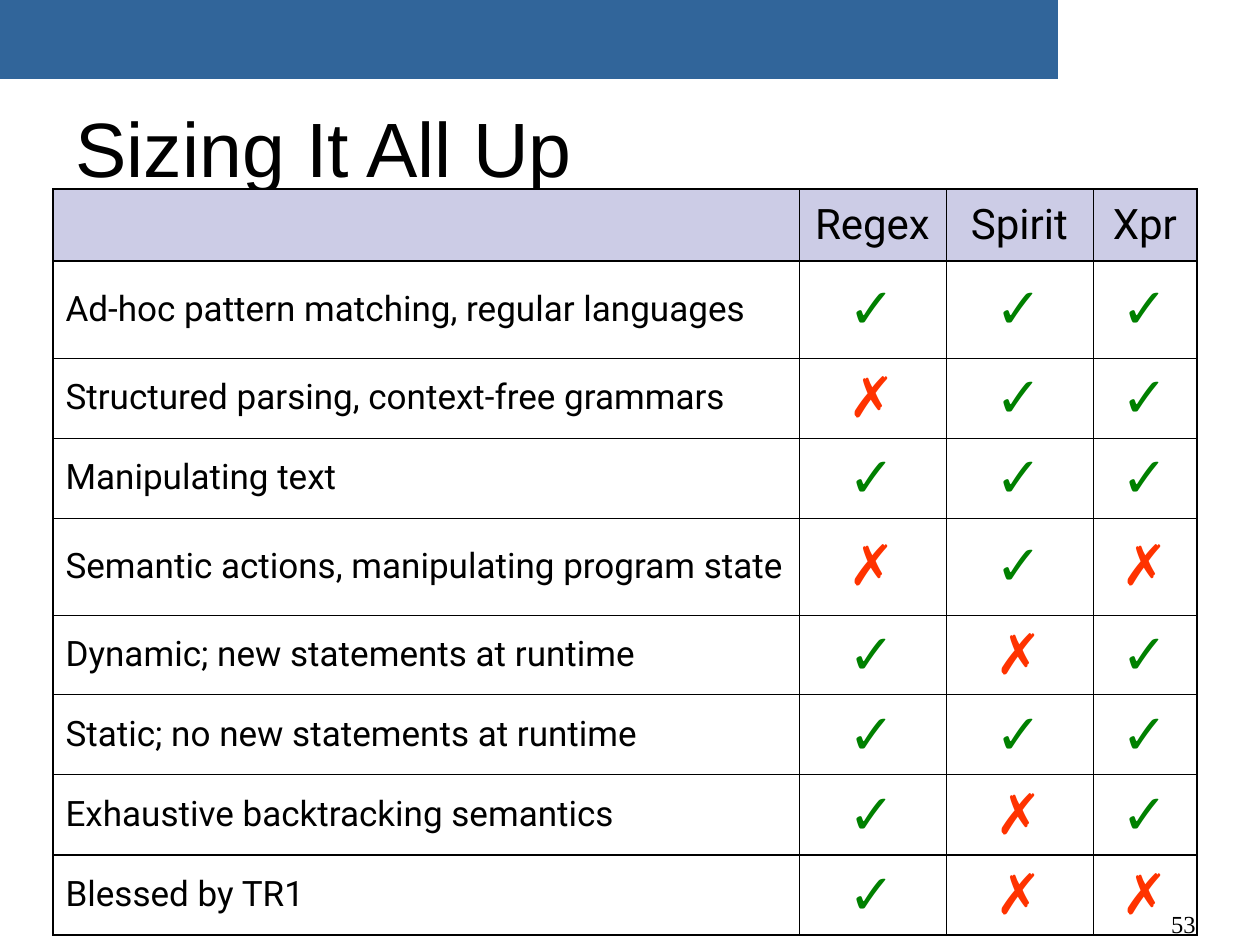
from dataclasses import dataclass

from lxml import etree
from pptx import Presentation
from pptx.dml.color import RGBColor
from pptx.enum.shapes import MSO_SHAPE
from pptx.enum.text import MSO_ANCHOR, MSO_AUTO_SIZE, PP_ALIGN
from pptx.oxml.ns import qn
from pptx.util import Emu, Pt

RECTANGLE = MSO_SHAPE.RECTANGLE
MIDDLE, BOTTOM = MSO_ANCHOR.MIDDLE, MSO_ANCHOR.BOTTOM
LEFT, CENTER, RIGHT = PP_ALIGN.LEFT, PP_ALIGN.CENTER, PP_ALIGN.RIGHT
PX = 914400 // 126
TITLE_ONLY = 5


@dataclass(frozen=True)
class TextStyle:
    font: str
    size: int
    color: str = "000000"
    align: PP_ALIGN = LEFT


@dataclass(frozen=True)
class Theme:
    bar_start: str = "31659A"
    bar_end: str = "34679A"
    header_fill: str = "CCCCE6"
    border: str = "000000"
    thin: float = 0.45
    thick: float = 1.08
    title: TextStyle = TextStyle("Arial", 44)
    header: TextStyle = TextStyle("Roboto", 24, align=CENTER)
    feature: TextStyle = TextStyle("Roboto", 20)
    yes: TextStyle = TextStyle("Arial", 32, "008000", CENTER)
    no: TextStyle = TextStyle("Arial", 32, "FF3300", CENTER)
    page_number: TextStyle = TextStyle("Times New Roman", 14, align=RIGHT)


@dataclass(frozen=True)
class Box:
    left: int
    top: int
    width: int
    height: int

    def emu(self) -> tuple[Emu, ...]:
        return tuple(Emu(value * PX) for value in
                     (self.left, self.top, self.width, self.height))


@dataclass(frozen=True)
class Feature:
    name: str
    marks: str
    height: int = 80


THEME = Theme()
BAR = Box(0, 0, 1058, 79)
TITLE = Box(63, 84, 1134, 126)
TABLE = Box(53, 189, 1144, 747)
PAGE_NUMBER = Box(1040, 879, 168, 66)

COLUMN_WIDTHS = (746, 147, 147, 104)
HEADER_HEIGHT = 72
HEADINGS = ("", "Regex", "Spirit", "Xpr")
FEATURES = (
    Feature("Ad-hoc pattern matching, regular languages", "✓✓✓", 97),
    Feature("Structured parsing, context-free grammars", "✗✓✓"),
    Feature("Manipulating text", "✓✓✓"),
    Feature("Semantic actions, manipulating program state", "✗✓✗", 97),
    Feature("Dynamic; new statements at runtime", "✓✗✓"),
    Feature("Static; no new statements at runtime", "✓✓✓"),
    Feature("Exhaustive backtracking semantics", "✓✗✓"),
    Feature("Blessed by TR1", "✓✗✗"),
)


def set_text(text_frame, text: str, style: TextStyle) -> None:
    text_frame.text = text
    paragraph = text_frame.paragraphs[0]
    paragraph.alignment = style.align
    for run in paragraph.runs:
        run.font.name = style.font
        run.font.size = Pt(style.size)
        run.font.color.rgb = RGBColor.from_string(style.color)


def set_borders(cell, widths: dict[str, float]) -> None:
    properties = cell._tc.get_or_add_tcPr()
    for index, (side, width) in enumerate(widths.items()):
        line = etree.Element(qn(f"a:ln{side}"), w=str(Pt(width)))
        fill = etree.SubElement(line, qn("a:solidFill"))
        etree.SubElement(fill, qn("a:srgbClr"), val=THEME.border)
        properties.insert(index, line)


def add_bar(slide) -> None:
    bar = slide.shapes.add_shape(RECTANGLE, *BAR.emu())
    bar.shadow.inherit = False
    bar.line.fill.background()
    bar.fill.gradient()
    bar.fill.gradient_angle = 180
    for stop, color in zip(bar.fill.gradient_stops, (THEME.bar_start, THEME.bar_end)):
        stop.color.rgb = RGBColor.from_string(color)


def add_title(slide) -> None:
    title = slide.shapes.title
    title.left, title.top, title.width, title.height = TITLE.emu()
    set_text(title.text_frame, "Sizing It All Up", THEME.title)
    title.text_frame.vertical_anchor = MIDDLE
    title.text_frame.auto_size = MSO_AUTO_SIZE.NONE


def cell_style(row: int, text: str) -> TextStyle:
    if row == 0:
        return THEME.header
    return {"✓": THEME.yes, "✗": THEME.no}.get(text, THEME.feature)


def add_comparison(slide) -> None:
    rows = [HEADINGS] + [(feature.name, *feature.marks) for feature in FEATURES]
    heights = [HEADER_HEIGHT] + [feature.height for feature in FEATURES]
    last_row, last_column = len(rows) - 1, len(HEADINGS) - 1
    # Heavy rules frame the table, the header and the last row
    heavy_below = (0, last_row - 1, last_row)

    table = slide.shapes.add_table(len(rows), len(HEADINGS), *TABLE.emu()).table
    table.first_row = table.horz_banding = False
    for column, width in zip(table.columns, COLUMN_WIDTHS):
        column.width = Emu(width * PX)
    for row, height in zip(table.rows, heights):
        row.height = Emu(height * PX)

    def weight(heavy: bool) -> float:
        return THEME.thick if heavy else THEME.thin

    for row, texts in enumerate(rows):
        for column, text in enumerate(texts):
            cell = table.cell(row, column)
            set_text(cell.text_frame, text, cell_style(row, text))
            cell.vertical_anchor = MIDDLE
            if row == 0:
                cell.fill.solid()
                cell.fill.fore_color.rgb = RGBColor.from_string(THEME.header_fill)
            else:
                cell.fill.background()
            set_borders(cell, {
                "L": weight(column == 0),
                "R": weight(column == last_column),
                "T": weight(row == 0 or row - 1 in heavy_below),
                "B": weight(row in heavy_below),
            })


def add_page_number(slide) -> None:
    text_frame = slide.shapes.add_textbox(*PAGE_NUMBER.emu()).text_frame
    text_frame.word_wrap = True
    text_frame.vertical_anchor = BOTTOM
    set_text(text_frame, "53", THEME.page_number)


def main() -> None:
    presentation = Presentation()
    presentation.slide_width = Emu(1260 * PX)
    presentation.slide_height = Emu(945 * PX)
    slide = presentation.slides.add_slide(presentation.slide_layouts[TITLE_ONLY])
    add_bar(slide)
    add_title(slide)
    add_comparison(slide)
    add_page_number(slide)
    presentation.save("out.pptx")


if __name__ == "__main__":
    main()
